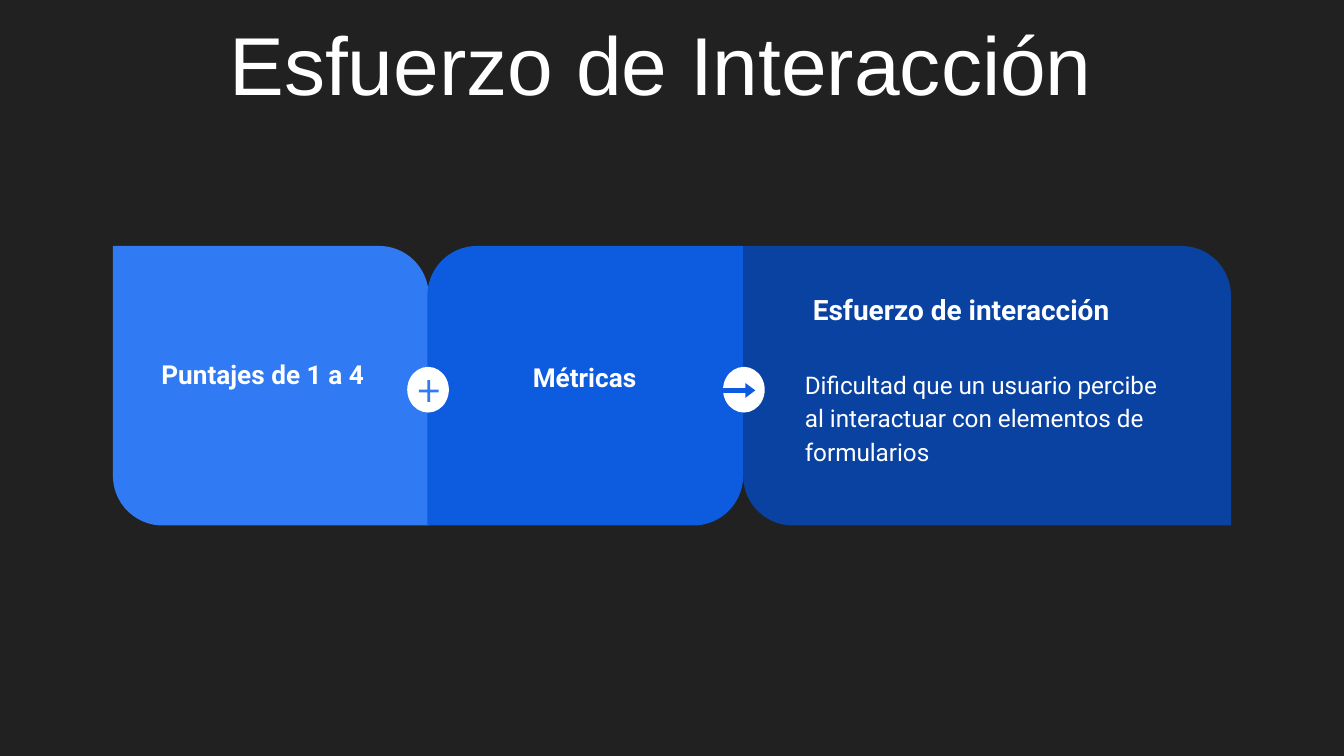
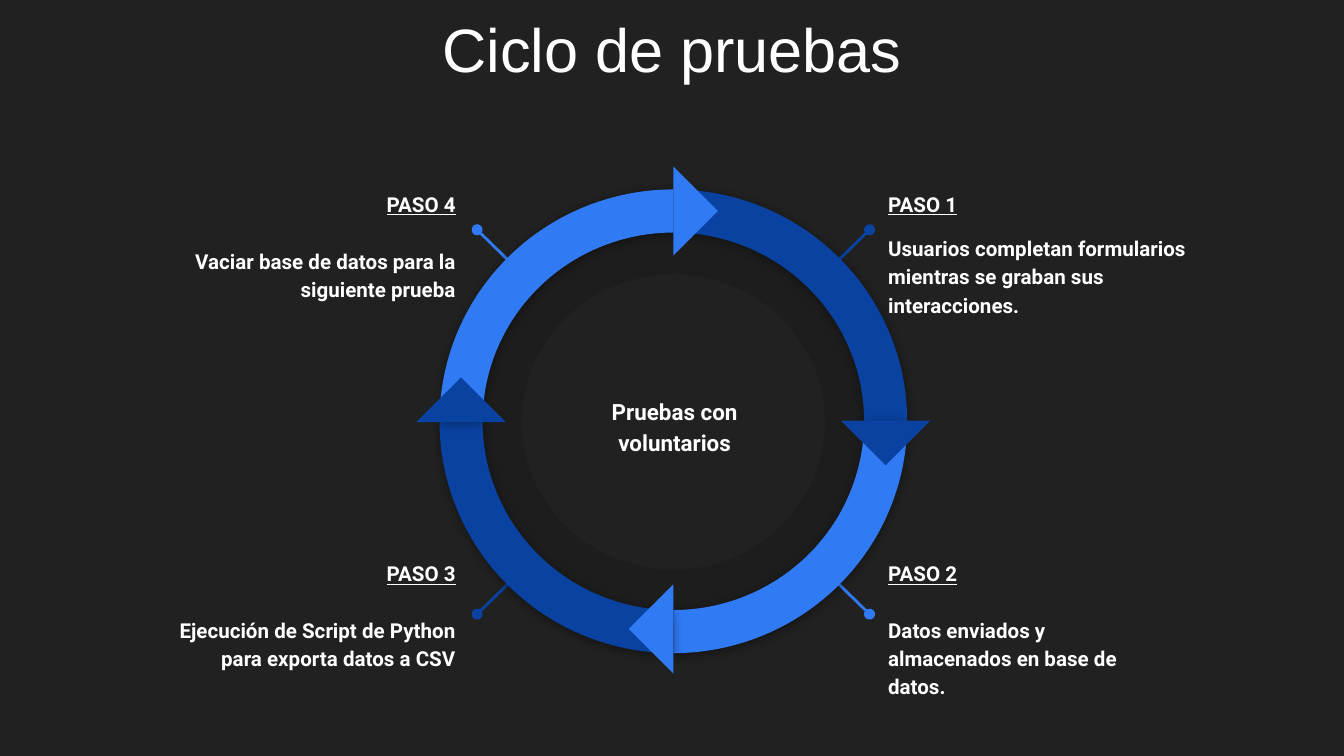
from pptx import Presentation
from pptx.dml.color import RGBColor
from pptx.enum import shapes, text
from pptx.oxml import ns, xmlchemy
from pptx.util import Inches, Pt

# Shared style
DARK = RGBColor(0x21, 0x21, 0x21)
BLACK = RGBColor(0, 0, 0)
WHITE = RGBColor(0xFF, 0xFF, 0xFF)
LIGHT_BLUE = RGBColor(0x30, 0x7A, 0xF3)
MID_BLUE = RGBColor(0x0D, 0x5C, 0xDF)
DEEP_BLUE = RGBColor(0x09, 0x42, 0xA1)
TITLE_FONT, BODY_FONT = "Arial", "Roboto"
MARGIN = 0.1

KIND = shapes.MSO_SHAPE
ALIGN = text.PP_ALIGN
ANCHOR = text.MSO_ANCHOR


def add_child(parent, tag, **attributes):
    child = xmlchemy.OxmlElement(tag)
    for name, value in attributes.items():
        child.set(name, str(value))
    parent.append(child)
    return child


class SlideBuilder:
    def __init__(self):
        self.deck = Presentation()
        # Widescreen, 16 to 9
        self.deck.slide_width = Inches(10)
        self.deck.slide_height = Inches(10) * 9 // 16
        background = self.deck.slide_master.background.fill
        background.solid()
        background.fore_color.rgb = DARK
        self.page = None

    def start_page(self, title, area, size, anchor):
        self.page = self.deck.slides.add_slide(self.deck.slide_layouts[5])
        box = self.page.shapes.title
        box.left, box.top, box.width, box.height = map(Inches, area)
        self.fill_frame(box.text_frame, [title], size, align=ALIGN.CENTER,
                        anchor=anchor, font=TITLE_FONT, bold=False)

    def fill_frame(self, frame, lines, size, align=ALIGN.LEFT, anchor=ANCHOR.TOP,
                   font=BODY_FONT, bold=True, spacing=1.0, top=MARGIN):
        frame.word_wrap = True
        frame.auto_size = text.MSO_AUTO_SIZE.NONE
        frame.vertical_anchor = anchor
        frame.margin_left = frame.margin_right = frame.margin_bottom = Inches(MARGIN)
        frame.margin_top = Inches(top)
        for index, line in enumerate(lines):
            para = frame.add_paragraph() if index else frame.paragraphs[0]
            para.text = line
            para.alignment = align
            para.line_spacing = spacing
            para.font.name, para.font.size, para.font.bold = font, Pt(size), bold
            para.font.color.rgb = WHITE
        return frame.paragraphs

    def text(self, area, lines, size, **style):
        box = self.page.shapes.add_textbox(*map(Inches, area))
        return self.fill_frame(box.text_frame, lines, size, **style)

    def shape(self, kind, area, color, adjust=(), rotation=0, alpha=None, shadow=False):
        shape = self.page.shapes.add_shape(kind, *map(Inches, area))
        shape.fill.solid()
        shape.fill.fore_color.rgb = color
        shape.line.fill.background()
        shape.shadow.inherit = False
        shape.rotation = rotation
        for index, value in enumerate(adjust):
            shape.adjustments[index] = value
        properties = shape._element.spPr
        if alpha is not None:
            fill_color = properties.find(ns.qn("a:solidFill"))[0]
            add_child(fill_color, "a:alpha", val=alpha * 1000)
        if shadow:
            effects = properties.find(ns.qn("a:effectLst"))
            outer = add_child(effects, "a:outerShdw", blurRad=Pt(5.6), dist=Pt(0.8),
                              dir=90 * 60000, algn="bl", rotWithShape=0)
            shade = add_child(outer, "a:srgbClr", val=BLACK)
            add_child(shade, "a:alpha", val=40000)

    def pin(self, start, end, color):
        line = self.page.shapes.add_connector(
            shapes.MSO_CONNECTOR.STRAIGHT, *map(Inches, start + end))
        line.line.color.rgb = color
        line.line.width = Pt(1.5)
        add_child(line.line._get_or_add_ln(), "a:headEnd", type="oval")
        add_child(line._element.spPr, "a:effectLst")


def build_effort(builder):
    builder.start_page("Esfuerzo de Interacción", (0, 0, 9.84, 0.94), 44, ANCHOR.TOP)

    # Three joined panels
    top, height, corner = 1.83, 2.08, 0.178
    panels = [
        (0.84, 2.35, LIGHT_BLUE, (0, corner)),
        (3.18, 2.35, MID_BLUE, (corner, 0)),
        (5.53, 3.63, DEEP_BLUE, (0, corner)),
    ]
    for left, width, color, corners in panels:
        builder.shape(KIND.ROUND_2_DIAG_RECTANGLE, (left, top, width, height),
                      color, corners)

    # Panel texts
    for label, area in [("Puntajes de 1 a 4", (1.0, 1.97, 1.91, 1.75)),
                        ("Métricas", (3.46, 1.99, 1.78, 1.8))]:
        builder.text(area, [label], 14, align=ALIGN.CENTER, top=0.7)
    builder.text((5.95, 2.08, 2.92, 0.61), ["Esfuerzo de interacción"], 15)
    builder.text(
        (5.89, 2.62, 2.99, 1.02),
        ["Dificultad que un usuario percibe al interactuar con elementos de formularios"],
        13, bold=False, spacing=1.15)

    # Round badges on the seams
    for left in (3.03, 5.38):
        builder.shape(KIND.OVAL, (left, 2.73, 0.31, 0.34), WHITE)
    builder.shape(KIND.MATH_PLUS, (3.09, 2.8, 0.2, 0.22), LIGHT_BLUE, (0.099,))
    builder.shape(KIND.RIGHT_ARROW, (5.38, 2.85, 0.24, 0.11), MID_BLUE, (0.32, 0.67))


def build_cycle(builder):
    builder.start_page("Ciclo de pruebas", (0.34, 0, 9.32, 0.73), 32.8, ANCHOR.BOTTOM)
    center_x, center_y = 5.01, 3.14
    colors = [DEEP_BLUE, LIGHT_BLUE, DEEP_BLUE, LIGHT_BLUE]

    # Faint inner ring and centre label
    builder.shape(KIND.DONUT, (3.36, 1.52, 3.3, 3.24), BLACK, (0.161,), alpha=11)
    builder.text((4.08, 2.65, 1.88, 1.03), ["Pruebas con voluntarios"], 12,
                 align=ALIGN.CENTER, anchor=ANCHOR.MIDDLE, spacing=1.15)

    # Steps, clockwise from the top right: side, level, text, area, gap
    steps = [
        (1, -1, "Usuarios completan formularios mientras se graban sus interacciones.",
         (6.51, 1.3, 2.45, 1.08), 8.5),
        (1, 1, "Datos enviados y almacenados en base de datos.",
         (6.51, 4.05, 2.2, 1.25), 15),
        (-1, 1, "Ejecución de Script de Python para exporta datos a CSV",
         (1.14, 4.05, 2.35, 1.25), 15),
        (-1, -1, "Vaciar base de datos para la siguiente prueba",
         (1.14, 1.3, 2.35, 1.16), 15.5),
    ]
    for number, (side, level, detail, area, gap) in enumerate(steps, 1):
        builder.pin((center_x + side * 1.46, center_y + level * 1.43),
                    (center_x + side * 1.02, center_y + level), colors[number - 1])
        heading, body = builder.text(
            area, [f"PASO {number}", detail], 11, spacing=1.15,
            align=ALIGN.LEFT if side > 0 else ALIGN.RIGHT)
        heading.font.underline = True
        body.space_before = Pt(gap)

    # Quarter arcs; an angle adjustment is 0.6 per degree
    for quarter, color in enumerate(colors):
        start = (270 + 90 * quarter) % 360
        builder.shape(KIND.BLOCK_ARC, (3.27, 1.41, 3.48, 3.45), color,
                      (start * 0.6, (start + 90) % 360 * 0.6, 0.093), shadow=True)

    # Arrowheads at the end of each arc
    size = 0.47
    middles = [(6.59, 3.13), (5.01, 4.68), (3.43, 3.14), (5.01, 1.57)]
    for quarter, (middle_x, middle_y) in enumerate(middles):
        builder.shape(KIND.RIGHT_TRIANGLE,
                      (middle_x - size / 2, middle_y - size / 2, size, size),
                      colors[quarter], rotation=(315 + 90 * quarter) % 360)


def main():
    builder = SlideBuilder()
    build_effort(builder)
    build_cycle(builder)
    builder.deck.save("out.pptx")


if __name__ == "__main__":
    main()
